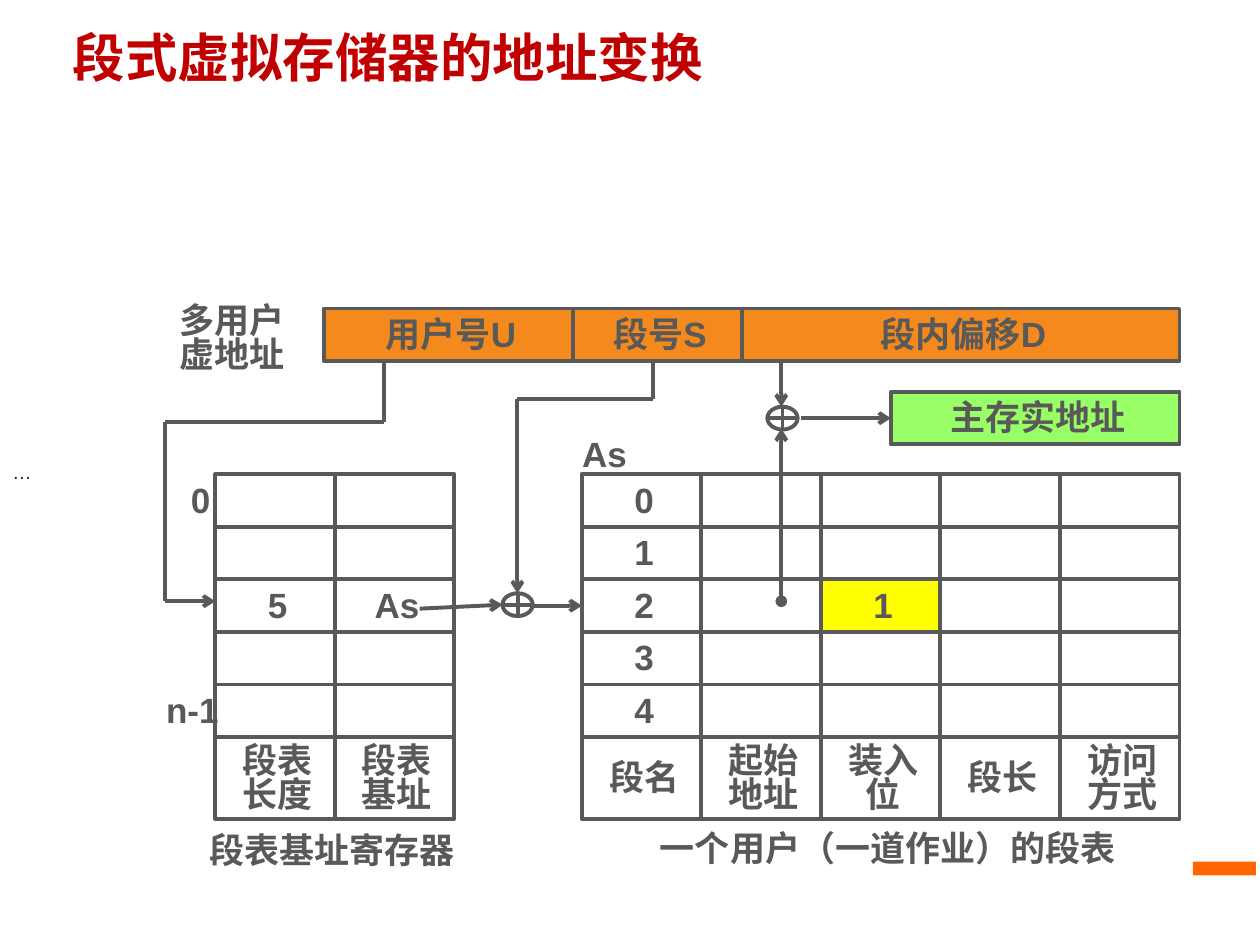
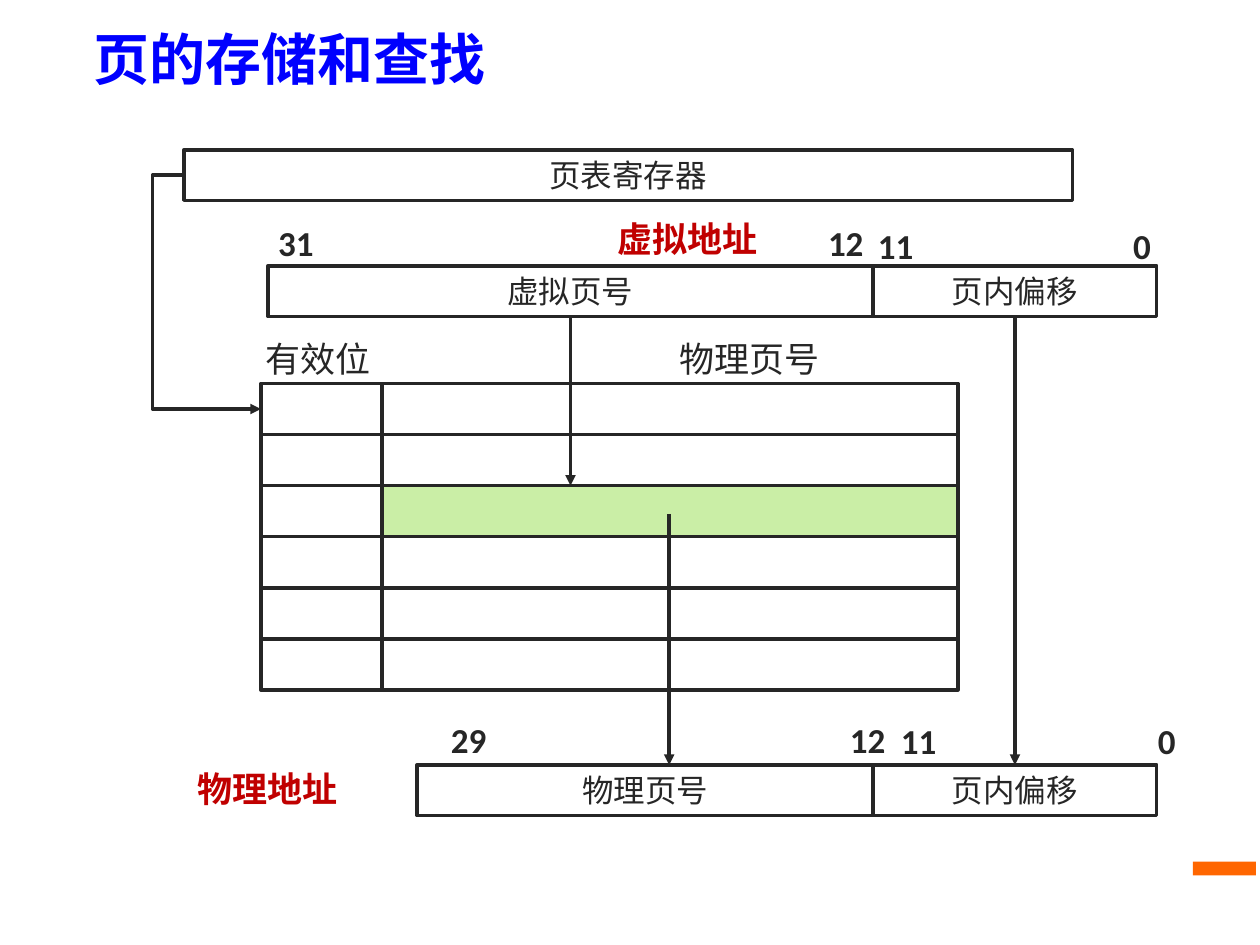
from dataclasses import dataclass, replace
from itertools import accumulate, pairwise

import pptx
import pptx.dml.color
import pptx.enum.shapes
import pptx.enum.text
import pptx.oxml
import pptx.oxml.ns
import pptx.util
from lxml import etree

Cm = pptx.util.Cm
Pt = pptx.util.Pt
qn = pptx.oxml.ns.qn
Preset = pptx.enum.shapes.MSO_SHAPE
Connector = pptx.enum.shapes.MSO_CONNECTOR
Align = pptx.enum.text.PP_ALIGN

CJK_FONT = "Noto Sans CJK SC"
GRAY, DARK, RED, BLUE = "595959", "262626", "C00000", "0000FF"
BAND, ORANGE, LIME, YELLOW, GREEN = "FF6600", "F4891E", "99FF66", "FFFF00", "CAEEA6"
TOP, LEFT, BOTTOM = 0, 1, 2


@dataclass(frozen=True)
class TextStyle:
    """Look of the text inside a shape or text box."""
    font: str
    size: float
    color: str
    bold: bool = False
    align: int = Align.CENTER
    spacing: float | None = None
    insets: tuple = (0, 0, 0, 0)
    wrap: bool = True


TITLE = TextStyle(CJK_FONT, 30, RED, True, Align.LEFT, insets=(0.25, 0.13, 0.25, 0.13))
SEGMENT = TextStyle("Arial", 20, GRAY, True, spacing=0.8, insets=(0.2, 0.1, 0.1, 0), wrap=False)
SEGMENT_RIGHT = replace(SEGMENT, align=Align.RIGHT)
ELLIPSIS = replace(TITLE, font="Arial", size=11, color=DARK, bold=False)
PAGE_FIELD = TextStyle("Calibri", 18, DARK)
PAGE_LABEL = replace(PAGE_FIELD, size=20)
PAGE_HEADING = replace(PAGE_LABEL, color=RED, bold=True)
BIT_NUMBER = replace(PAGE_LABEL, bold=True, align=Align.LEFT)


def rgb(color):
    """Turn a hex string into a colour."""
    return pptx.dml.color.RGBColor.from_string(color)


def write(shape, text, style):
    """Put styled text into a shape."""
    frame = shape.text_frame
    frame.text = text
    frame.word_wrap = style.wrap
    frame.vertical_anchor = pptx.enum.text.MSO_ANCHOR.MIDDLE
    (frame.margin_left, frame.margin_top,
     frame.margin_right, frame.margin_bottom) = map(Cm, style.insets)
    for paragraph in frame.paragraphs:
        paragraph.alignment = style.align
        paragraph.line_spacing = style.spacing
        font = paragraph.font
        font.name, font.size, font.bold = style.font, Pt(style.size), style.bold
        font.color.rgb = rgb(style.color)
        defaults = paragraph._p.pPr.find(qn("a:defRPr"))
        etree.SubElement(defaults, qn("a:ea"), typeface=CJK_FONT)


def add_label(slide, box, text, style):
    """Add a text box; box is left, top, width, height in cm."""
    label = slide.shapes.add_textbox(*map(Cm, box))
    write(label, text, style)
    return label


def add_box(slide, box, text="", style=SEGMENT, fill=None, line_width=2.25, preset=Preset.RECTANGLE):
    """Add an outlined shape in the colour of its text; zero width means no outline."""
    shape = slide.shapes.add_shape(preset, *map(Cm, box))
    shape.shadow.inherit = False
    if fill:
        shape.fill.solid()
        shape.fill.fore_color.rgb = rgb(fill)
    else:
        shape.fill.background()
    if line_width:
        shape.line.color.rgb = rgb(style.color)
        shape.line.width = Pt(line_width)
    else:
        shape.line.fill.background()
    if text:
        write(shape, text, style)
    return shape


def add_grid(slide, left, top, widths, heights, texts=None, fills=None, **look):
    """Add touching boxes and return them by (row, column)."""
    texts, fills = texts or {}, fills or {}
    lefts = list(accumulate(widths, initial=left))
    tops = list(accumulate(heights, initial=top))
    return {
        (row, column): add_box(
            slide, (lefts[column], tops[row], width, height),
            texts.get((row, column), ""), fill=fills.get((row, column)), **look)
        for row, height in enumerate(heights)
        for column, width in enumerate(widths)
    }


def add_line(slide, start, end, color, width, head=None, tail=None, begin=None, finish=None,
             kind=Connector.STRAIGHT):
    """Add a connector; begin and finish are (shape, site) joints."""
    connector = slide.shapes.add_connector(kind, *map(Cm, (*start, *end)))
    if begin:
        connector.begin_connect(*begin)
    if finish:
        connector.end_connect(*finish)
    connector.line.color.rgb = rgb(color)
    connector.line.width = Pt(width)
    properties = connector._element.spPr
    outline = properties.find(qn("a:ln"))
    for tag, arrow in (("a:headEnd", head), ("a:tailEnd", tail)):
        if arrow:
            etree.SubElement(outline, qn(tag), type=arrow)
    etree.SubElement(properties, qn("a:effectLst"))
    return connector


def add_route(slide, points, **look):
    """Join points with lines and put an arrow at the last one."""
    segments = list(pairwise(points))
    for start, end in segments[:-1]:
        add_line(slide, start, end, **look)
    add_line(slide, *segments[-1], tail="arrow", **look)


def add_bits(slide, left, top, span, high, low):
    """Write the highest and lowest bit numbers at both ends of a span."""
    label = add_label(slide, (left, top, span + 0.2, 0.94), f"{high}\t{low}", BIT_NUMBER)
    properties = label.text_frame.paragraphs[0]._p.pPr
    tabs = etree.Element(qn("a:tabLst"))
    etree.SubElement(tabs, qn("a:tab"), pos=str(Cm(span)), algn="r")
    properties.find(qn("a:defRPr")).addprevious(tabs)


def add_titled_slide(presentation, box, title, style):
    """Add a slide with its title and the corner band."""
    slide = presentation.slides.add_slide(presentation.slide_layouts[6])
    add_box(slide, (24.05, 17.37, 1.27, 0.28), fill=BAND, line_width=0)
    add_label(slide, box, title, style)
    return slide


def build_segment_slide(presentation):
    """Show how a segmented virtual address is translated."""
    slide = add_titled_slide(presentation, (1.22, 0.2, 23.34, 1.9), "段式虚拟存储器的地址变换", TITLE)
    add_label(slide, (0, 9.14, 25.4, 0.74), "…", ELLIPSIS)

    column, row, table_top = 2.41, 1.06, 9.56
    heights = [row] * 5 + [1.65]
    add_grid(slide, 4.34, table_top, [column] * 2, heights,
             {(2, 0): "5", (2, 1): "As", (5, 0): "段表\v长度", (5, 1): "段表\v基址"})
    headings = ["段名", "起始\n地址", "装入\v位", "段长", "访问\v方式"]
    segment_texts = {(number, 0): str(number) for number in range(5)}
    segment_texts |= {(5, index): heading for index, heading in enumerate(headings)}
    segment_texts[2, 2] = "1"
    segments = add_grid(slide, 11.73, table_top, [column] * 5, heights, segment_texts, {(2, 2): YELLOW})

    address_top = 6.22
    address_bottom = address_top + row
    names = ["用户号U", "段号S", "段内偏移D"]
    add_grid(slide, 6.53, address_top, [5.02, 3.41, 8.82], [row],
             {(0, index): name for index, name in enumerate(names)},
             {(0, index): ORANGE for index in range(3)})
    real_address = add_box(slide, (17.96, 7.9, 5.82, row), "主存实地址", fill=LIME)
    for adder_left, adder_top in ((10.13, 11.96), (15.47, 8.2)):
        add_box(slide, (adder_left, adder_top, 0.61, 0.46), preset=Preset.FLOWCHART_OR)

    line = {"color": GRAY, "width": 2.25}
    add_route(slide, [(7.75, address_bottom), (7.75, 8.51), (3.33, 8.51), (3.33, 12.12), (4.34, 12.12)], **line)
    add_route(slide, [(13.16, address_bottom), (13.16, 8.05), (10.43, 8.05), (10.43, 11.96)], **line)
    add_route(slide, [(15.75, address_bottom), (15.75, 8.2)], **line)
    add_route(slide, [(8.46, 12.27), (10.13, 12.19)], **line)
    add_line(slide, (15.75, 12.12), (15.75, 8.64), head="oval", tail="arrow", **line)
    add_line(slide, (10.74, 12.21), (11.73, 12.21), tail="arrow", finish=(segments[2, 0], LEFT), **line)
    add_line(slide, (16.15, 8.43), (17.96, 8.43), tail="arrow", finish=(real_address, LEFT), **line)

    for box, text, style in (
        ((2.92, 5.92, 3.4, 1.8), "多用户\v虚地址", SEGMENT),
        ((2.34, table_top, 2, row), "0", SEGMENT_RIGHT),
        ((2.51, 13.8, 2, row), "n-1", SEGMENT_RIGHT),
        ((10.74, 8.64, 2, row), "As", SEGMENT_RIGHT),
        ((2.74, 16.71, 7.82, 0.91), "段表基址寄存器", SEGMENT),
        ((10.74, 16.66, 14.22, 0.91), "一个用户（一道作业）的段表", SEGMENT),
    ):
        add_label(slide, box, text, style)


def build_page_slide(presentation):
    """Show how a page is stored and looked up."""
    slide = add_titled_slide(presentation, (1.63, 0.23, 19.3, 1.9), "页的存储和查找",
                             replace(TITLE, size=32, color=BLUE))
    look = {"style": PAGE_FIELD, "line_width": 2}
    height, offset_left, offset_width = 1.02, 17.6, 5.72
    register = add_box(slide, (3.71, 3.02, 17.91, height), "页表寄存器", **look)
    addresses = [
        add_grid(slide, left, top, [offset_left - left, offset_width], [height],
                 {(0, 0): page, (0, 1): "页内偏移"}, **look)
        for left, top, page in ((5.4, 5.36, "虚拟页号"), (8.41, 15.42, "物理页号"))
    ]
    virtual, physical = addresses
    pages = add_grid(slide, 5.26, 7.73, [2.44, 11.61], [1.03] * 6, fills={(2, 1): GREEN}, **look)

    for bits in (
        (5.61, 4.42, 11.8, 31, 12),
        (17.7, 4.47, 5.5, 11, 0),
        (9.09, 14.43, 8.76, 29, 12),
        (18.16, 14.45, 5.54, 11, 0),
    ):
        add_bits(slide, *bits)

    for box, text, style in (
        ((11.05, 4.11, 5.64, 1.4), "虚拟地址", PAGE_HEADING),
        ((2.57, 15.19, 5.64, 1.4), "物理地址", PAGE_HEADING),
        ((4.72, 6.53, 3.38, 1.4), "有效位", PAGE_LABEL),
        ((12.65, 6.53, 4.93, 1.4), "物理页号", PAGE_LABEL),
    ):
        add_label(slide, box, text, style)

    arrow = {"color": DARK, "width": 2, "tail": "triangle"}
    elbow = add_line(slide, (3.71, 3.53), (5.26, 8.24), begin=(register, LEFT),
                     finish=(pages[0, 0], LEFT), kind=Connector.ELBOW, **arrow)
    guides = elbow._element.spPr.find(qn("a:prstGeom")).find(qn("a:avLst"))
    etree.SubElement(guides, qn("a:gd"), name="adj1", fmla="val -41000")
    add_line(slide, (11.5, 6.38), (11.5, 9.79), begin=(virtual[0, 0], BOTTOM), **arrow)
    add_line(slide, (13.49, 10.36), (13.49, 15.42), **arrow)
    add_line(slide, (20.46, 6.38), (20.46, 15.42), begin=(virtual[0, 1], BOTTOM),
             finish=(physical[0, 1], TOP), **arrow)


def main():
    """Build and save the presentation."""
    presentation = pptx.Presentation()
    presentation.slide_width, presentation.slide_height = Cm(25.4), Cm(19.05)
    build_segment_slide(presentation)
    build_page_slide(presentation)
    presentation.save("out.pptx")


if __name__ == "__main__":
    main()
